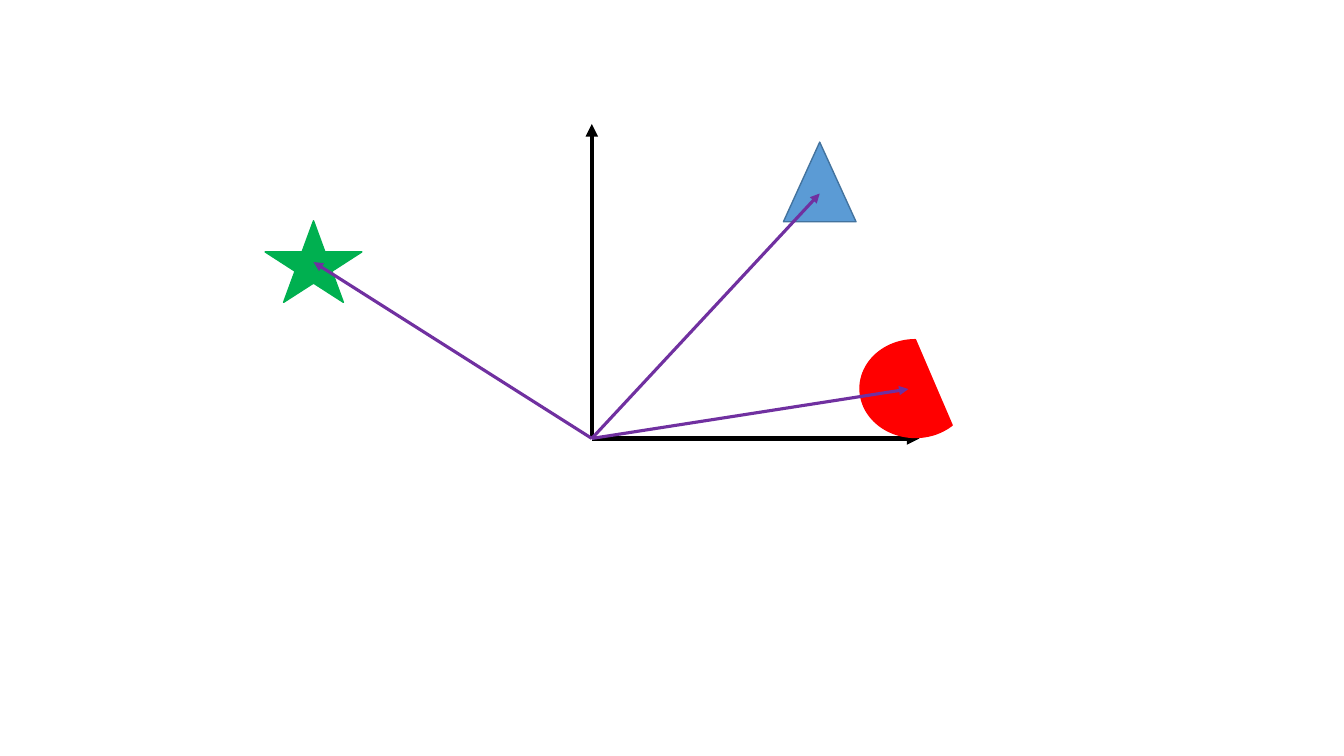
from dataclasses import dataclass

from lxml.etree import SubElement
from pptx import Presentation
from pptx.dml.color import RGBColor
from pptx.enum.shapes import MSO_CONNECTOR, MSO_SHAPE
from pptx.oxml.ns import qn
from pptx.util import Inches, Pt

Point = tuple[float, float]

ORIGIN: Point = (5.87, 4.35)
AXIS = {"color": "000000", "width": 3}
VECTOR = {"color": "7030A0", "width": 2.25}


@dataclass
class Target:
    """A shape in the plane and the tip of the vector that points to it."""
    kind: MSO_SHAPE
    box: tuple[float, float, float, float]
    fill: str
    outline: str
    tip: Point


AXIS_TIPS = [(5.87, 1.23), (9.12, 4.35)]
TARGETS = [
    Target(MSO_SHAPE.STAR_5_POINT, (2.63, 2.19, 0.96, 0.81), "00B050", "00B050", (3.11, 2.6)),
    Target(MSO_SHAPE.ISOSCELES_TRIANGLE, (7.77, 1.41, 0.72, 0.79), "5B9BD5", "43739E", (8.13, 1.92)),
    Target(MSO_SHAPE.CHORD, (8.53, 3.37, 1.1, 0.97), "FF0000", "FF0000", (9.01, 3.86)),
]


def rgb(color: str) -> RGBColor:
    return RGBColor.from_string(color)


def set_line(line, color: str, width: float) -> None:
    line.fill.solid()
    for name, value in {"color.rgb": rgb(color), "width": Pt(width)}.items():
        owner = line.color if name.startswith("color") else line
        setattr(owner, name.split(".")[-1], value)


def add_arrow(shapes, tip: Point, style: dict) -> None:
    ends = [Inches(v) for v in (*ORIGIN, *tip)]
    sp = shapes.add_connector(MSO_CONNECTOR.STRAIGHT, *ends)
    set_line(sp.line, **style)
    SubElement(sp.line._get_or_add_ln(), qn("a:tailEnd"), type="triangle")
    SubElement(sp._element.spPr, qn("a:effectLst"))


def add_target(shapes, target: Target) -> None:
    sp = shapes.add_shape(target.kind, *[Inches(v) for v in target.box])
    sp.shadow.inherit = False
    sp.fill.solid()
    sp.fill.fore_color.rgb = rgb(target.fill)
    set_line(sp.line, target.outline, 1)


prs = Presentation()
prs.slide_width, prs.slide_height = Inches(13.33), Inches(7.5)
shapes = prs.slides.add_slide(prs.slide_layouts[6]).shapes

# Axes
for tip in AXIS_TIPS:
    add_arrow(shapes, tip, AXIS)

# Targets, each with its vector on top
for target in TARGETS:
    add_target(shapes, target)
    add_arrow(shapes, target.tip, VECTOR)

prs.save("out.pptx")
